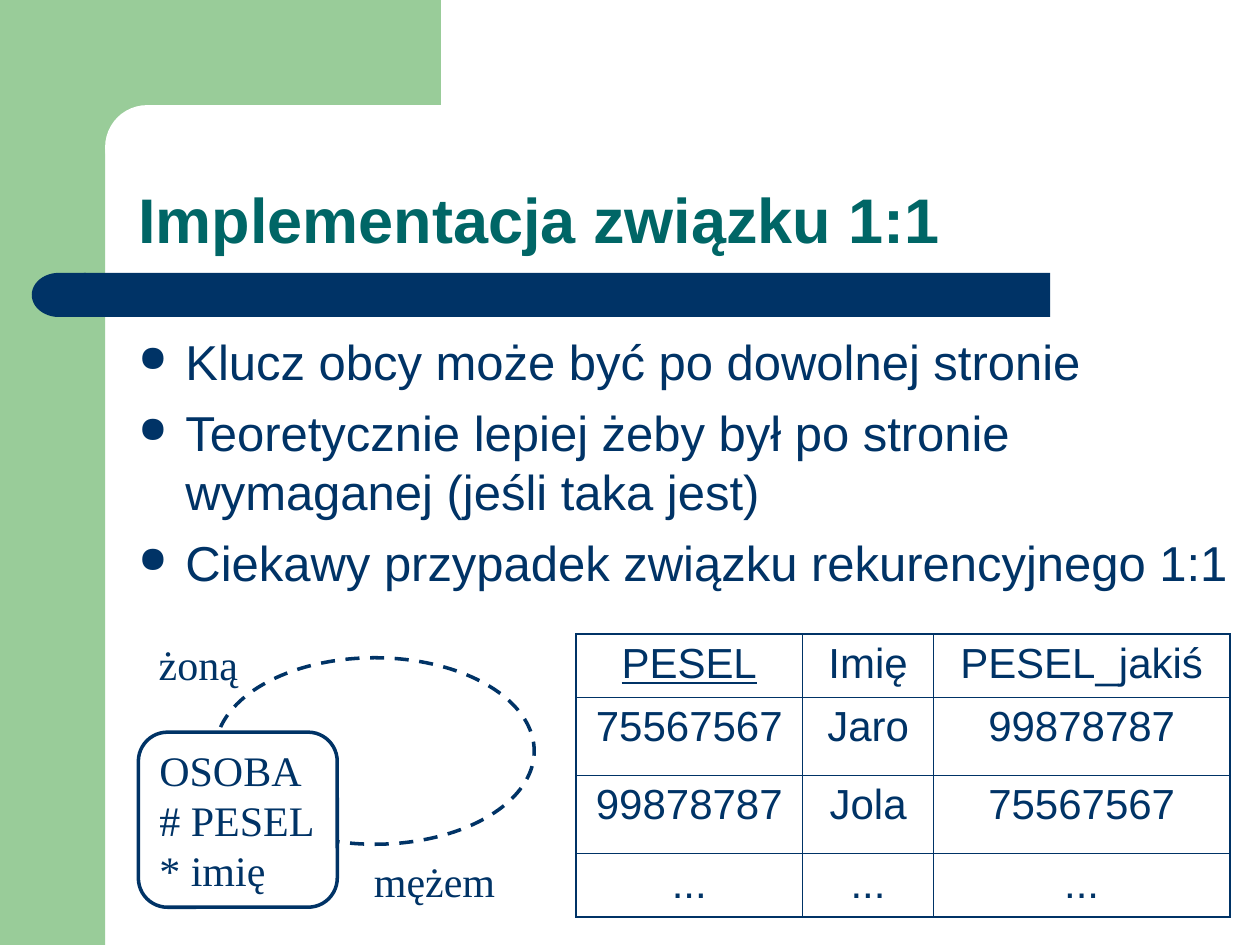
import pptx
import pptx.util
import pptx.dml.color
import pptx.enum.dml
import pptx.enum.shapes
import pptx.enum.text
import pptx.oxml
import pptx.oxml.ns
import lxml.etree

Cm = pptx.util.Cm
Pt = pptx.util.Pt
RGB = pptx.dml.color.RGBColor
Kind = pptx.enum.shapes.MSO_SHAPE
Anchor = pptx.enum.text.MSO_ANCHOR
qn = pptx.oxml.ns.qn

GREEN = RGB(0x99, 0xCC, 0x99)
WHITE = RGB(0xFF, 0xFF, 0xFF)
NAVY = RGB(0x00, 0x33, 0x66)
TEAL = RGB(0x00, 0x66, 0x66)
SERIF = "Times New Roman"

deck = pptx.Presentation()
deck.slide_width, deck.slide_height = Cm(25.4), Cm(19.05)
slide = deck.slides.add_slide(deck.slide_layouts[6])


def draw(kind, at, fill=None, line=None):
    shape = slide.shapes.add_shape(kind, *map(Cm, at))
    shape.shadow.inherit = False
    if fill is None:
        shape.fill.background()
    else:
        shape.fill.solid()
        shape.fill.fore_color.rgb = fill
    if line is None:
        shape.line.fill.background()
    else:
        shape.line.color.rgb = line
        shape.line.width = Pt(2)
    return shape


def write(frame, text, face, size, color=NAVY, align=pptx.enum.text.PP_ALIGN.LEFT):
    frame.text = text
    for para in frame.paragraphs:
        para.alignment = align
        for run in para.runs:
            run.font.name = face
            run.font.size = Pt(size)
            run.font.color.rgb = color


draw(Kind.RECTANGLE, (0, 0, 2.12, 19.05), GREEN)
draw(Kind.RECTANGLE, (1.9, 0, 6.99, 2.96), GREEN)
panel = draw(Kind.ROUNDED_RECTANGLE, (2.12, 2.12, 14.17, 1.69), WHITE)
panel.adjustments[0] = 0.5
bar = draw(Kind.ROUNDED_RECTANGLE, (1.69, 5.5, 19.48, 0.89), NAVY)
bar.adjustments[0] = 0
cap = draw(Kind.FLOWCHART_DELAY, (0.64, 5.5, 1.09, 0.89), NAVY)
cap.rotation = 180

title = slide.shapes.add_textbox(Cm(2.54), Cm(2.12), Cm(22.22), Cm(3.18)).text_frame
title.word_wrap = True
title.vertical_anchor = Anchor.BOTTOM
write(title, "Implementacja związku 1:1", "Arial", 36, TEAL)
title.paragraphs[0].line_spacing = 0.9
title.paragraphs[0].runs[0].font.bold = True

body = slide.shapes.add_textbox(Cm(2.54), Cm(6.56), Cm(22.86), Cm(5.87)).text_frame
body.word_wrap = True
points = [
    "Klucz obcy może być po dowolnej stronie",
    "Teoretycznie lepiej żeby był po stronie wymaganej (jeśli taka jest)",
    "Ciekawy przypadek związku rekurencyjnego 1:1",
]
write(body, "\n".join(points), "Arial", 28)
for para in body.paragraphs:
    para.space_before = Pt(7)
    props = para._p.get_or_add_pPr()
    props.set("marL", str(Cm(0.95)))
    props.set("indent", str(-Cm(0.95)))
    tint = lxml.etree.SubElement(props, qn("a:buClr"))
    lxml.etree.SubElement(tint, qn("a:srgbClr")).set("val", str(NAVY))
    lxml.etree.SubElement(props, qn("a:buSzPct")).set("val", "75000")
    lxml.etree.SubElement(props, qn("a:buChar")).set("char", "●")

loop = draw(Kind.OVAL, (4.34, 13.26, 6.43, 3.76), line=NAVY)
loop.line.dash_style = pptx.enum.dml.MSO_LINE.DASH
person = draw(Kind.ROUNDED_RECTANGLE, (2.79, 14.76, 4.01, 3.53), WHITE, NAVY)
person.text_frame.word_wrap = False
person.text_frame.vertical_anchor = Anchor.MIDDLE
write(person.text_frame, "OSOBA\n# PESEL\n* imię", SERIF, 24)

for text, left, top, width in [("żoną", 2.95, 12.75, 2.11), ("mężem", 7.29, 17.12, 2.95)]:
    role = slide.shapes.add_textbox(Cm(left), Cm(top), Cm(width), Cm(1.27)).text_frame
    role.word_wrap = False
    write(role, text, SERIF, 24)

rows = [
    ["PESEL", "Imię", "PESEL_jakiś"],
    ["75567567", "Jaro", "99878787"],
    ["99878787", "Jola", "75567567"],
    ["...", "...", "..."],
]
widths = [4.57, 2.64, 5.97]
heights = [1.27, 1.58, 1.58, 1.27]
table = slide.shapes.add_table(
    4, 3, Cm(11.61), Cm(12.78), Cm(sum(widths)), Cm(sum(heights))
).table
table.first_row = table.horz_banding = False
for col, width in zip(table.columns, widths):
    col.width = Cm(width)
for row, height in zip(table.rows, heights):
    row.height = Cm(height)

for r, row in enumerate(rows):
    for c, text in enumerate(row):
        cell = table.cell(r, c)
        write(cell.text_frame, text, "Arial", 24, align=pptx.enum.text.PP_ALIGN.CENTER)
        cell.text_frame.paragraphs[0].space_before = Pt(6)
        props = cell._tc.get_or_add_tcPr()
        outer = {"L": c == 0, "R": c == 2, "T": r == 0, "B": r == 3}
        for side, thick in outer.items():
            edge = lxml.etree.SubElement(props, qn("a:ln" + side))
            edge.set("w", str(Pt(1.08 if thick else 0.45)))
            paint = lxml.etree.SubElement(edge, qn("a:solidFill"))
            lxml.etree.SubElement(paint, qn("a:srgbClr")).set("val", str(NAVY))
        cell.fill.background()
table.cell(0, 0).text_frame.paragraphs[0].runs[0].font.underline = True

deck.save("out.pptx")
